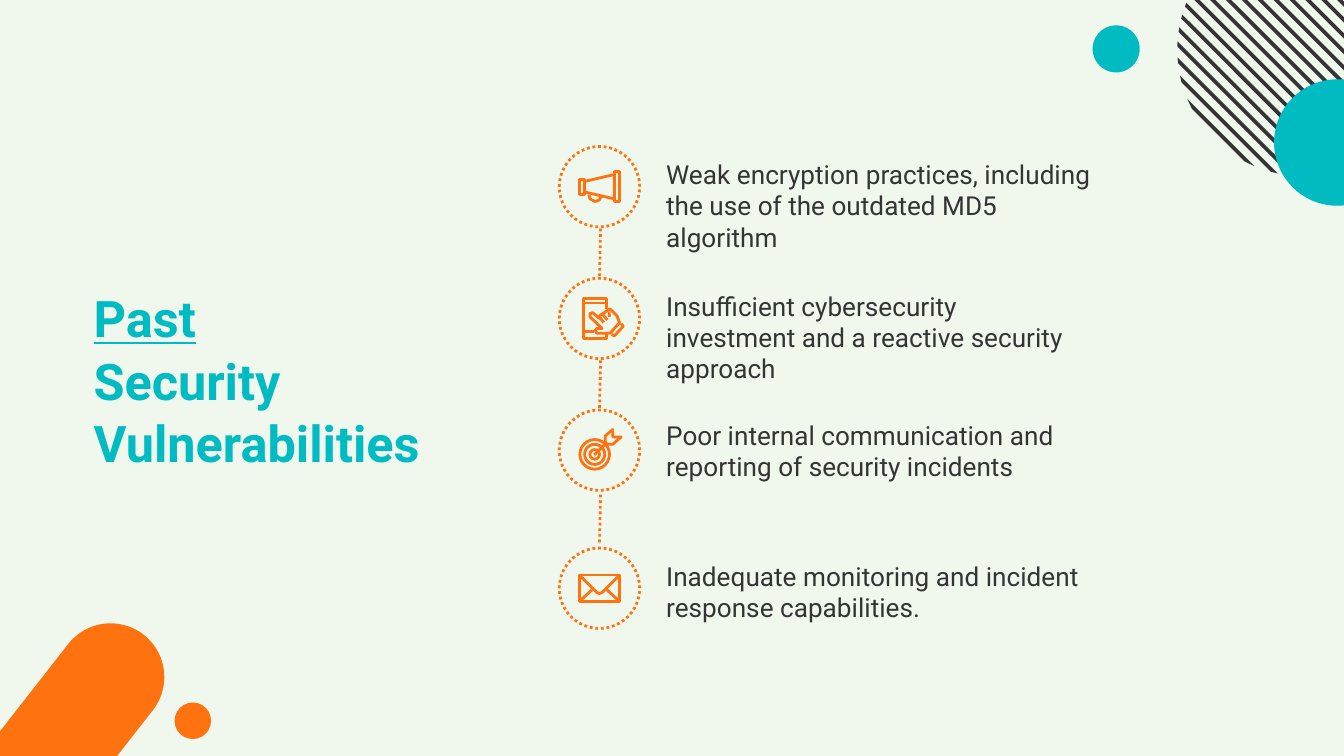
import math

import lxml.etree
import pptx
import pptx.dml.color
import pptx.enum.dml
import pptx.enum.shapes
import pptx.enum.text
import pptx.oxml.ns
import pptx.util

Cm = pptx.util.Cm
SHAPES = pptx.enum.shapes.MSO_SHAPE
DOTTED = pptx.enum.dml.MSO_LINE.ROUND_DOT
COLORS = {"background": "F0F7ED", "ink": "343434", "teal": "00BBC1", "orange": "FF7210"}
RGB = {name: pptx.dml.color.RGBColor.from_string(value) for name, value in COLORS.items()}

presentation = pptx.Presentation()
presentation.slide_width, presentation.slide_height = Cm(25.4), Cm(14.29)
slide = presentation.slides.add_slide(presentation.slide_layouts[4])
slide.background.fill.solid()
slide.background.fill.fore_color.rgb = RGB["background"]


def paint(shape, fill=None, line=None, dash=None):
    shape.shadow.inherit = False
    if fill:
        shape.fill.solid()
        shape.fill.fore_color.rgb = RGB[fill]
    else:
        shape.fill.background()
    if line:
        shape.line.color.rgb = RGB[line]
        shape.line.width = pptx.util.Pt(1.5)
        shape.line.dash_style = dash
    else:
        shape.line.fill.background()


def draw_outline(contours, center_x=0, center_y=0):
    """Join contours, given in centimetres around a centre, into one freeform."""
    builder = None
    for contour in contours:
        points = [(Cm(center_x + x), Cm(center_y + y)) for x, y in contour]
        if builder is None:
            builder = slide.shapes.build_freeform(*points[0])
        else:
            builder.move_to(*points[0])
        builder.add_line_segments(points[1:], close=points[0] == points[-1])
    return builder.convert_to_shape()


# Striped disc: diagonal bands cut off by a circle
disc_x, disc_y, disc_radius = 24.64, 0.94, 2.39
for index in range(21):
    band = 20.52 + 0.3 * index
    ends = []
    for edge in (band - 0.05, band + 0.05):
        offset = (edge - (disc_x - disc_y)) / 2
        reach = math.sqrt(disc_radius ** 2 / 2 - offset ** 2)
        ends.append([(offset - reach, -offset - reach), (offset + reach, -offset + reach)])
    (start, end), (next_start, next_end) = ends
    stripe = draw_outline([[start, end, next_end, next_start, start]], disc_x, disc_y)
    paint(stripe, fill="ink")

# Plain discs and the slanted pill
for left, top, size, color in [
    (24.08, 1.5, 2.39, "teal"),
    (20.65, 0.48, 0.89, "teal"),
    (3.3, 13.28, 0.69, "orange"),
]:
    disc = slide.shapes.add_shape(SHAPES.OVAL, Cm(left), Cm(top), Cm(size), Cm(size))
    paint(disc, fill=color)
pill_length, pill_height = 14.93, 2.03
pill = slide.shapes.add_shape(
    SHAPES.ROUNDED_RECTANGLE, Cm(-1.88 - pill_length / 2), Cm(17.88 - pill_height / 2),
    Cm(pill_length), Cm(pill_height))
pill.adjustments[0] = 0.5
pill.rotation = -52
paint(pill, fill="orange")

# Title and the four points
title_font = {"name": "Roboto", "size": pptx.util.Pt(27), "bold": True}
point_font = {"name": "Roboto", "size": pptx.util.Pt(14), "bold": False}
middle, upper = pptx.enum.text.MSO_ANCHOR.MIDDLE, pptx.enum.text.MSO_ANCHOR.TOP
texts = [
    (1.52, 5.41, 7.29, 3.51, ["Past", "Security Vulnerabilities"], title_font, "teal", middle, 1.03),
]
points = [
    (2.74, "Weak encryption practices, including the use of the outdated MD5 algorithm"),
    (5.23, "Insufficient cybersecurity investment and a reactive security approach"),
    (7.67, "Poor internal communication and reporting of security incidents"),
    (10.34, "Inadequate monitoring and incident response capabilities."),
]
for top, wording in points:
    texts.append((12.34, top, 8.53, 1.57, [wording], point_font, "ink", upper, 1.0))

for placeholder, text in zip(list(slide.placeholders), texts):
    left, top, width, height, lines, font, color, anchor, spacing = text
    placeholder.left, placeholder.top = Cm(left), Cm(top)
    placeholder.width, placeholder.height = Cm(width), Cm(height)
    frame = placeholder.text_frame
    frame_format = {
        "word_wrap": True, "auto_size": pptx.enum.text.MSO_AUTO_SIZE.NONE, "vertical_anchor": anchor,
        "margin_left": Cm(0.25), "margin_right": Cm(0.25),
        "margin_top": Cm(0.25), "margin_bottom": Cm(0.25),
    }
    for name, value in frame_format.items():
        setattr(frame, name, value)
    paragraph = frame.paragraphs[0]
    paragraph_format = {
        "alignment": pptx.enum.text.PP_ALIGN.LEFT, "line_spacing": spacing,
        "space_before": pptx.util.Pt(0), "space_after": pptx.util.Pt(0),
    }
    for name, value in paragraph_format.items():
        setattr(paragraph, name, value)
    properties = paragraph._p.get_or_add_pPr()
    properties.set("marL", "0")
    properties.set("indent", "0")
    lxml.etree.SubElement(properties, pptx.oxml.ns.qn("a:buNone"))
    for number, line in enumerate(lines):
        if number:
            paragraph.add_line_break()
        run = paragraph.add_run()
        run.text = line
        for name, value in font.items():
            setattr(run.font, name, value)
        run.font.color.rgb = RGB[color]
        run.font.underline = line == "Past"

# Icons, as contours around the middle of their ring
megaphone = [
    [(-0.38, -0.14), (-0.29, -0.14), (-0.29, 0.14), (-0.38, 0.14), (-0.38, -0.14)],
    [(-0.28, -0.1), (0.28, -0.23), (0.28, 0.23), (-0.28, 0.1)],
    [(0.28, -0.28), (0.38, -0.28), (0.38, 0.28), (0.28, 0.28), (0.28, -0.28)],
    [(-0.2, 0.15), (-0.18, 0.23), (-0.08, 0.28), (0, 0.25), (0.03, 0.19)],
]
phone = [
    [(0.13, -0.18), (0.13, -0.38), (-0.3, -0.38), (-0.3, 0.38), (0.13, 0.38), (0.13, 0.3)],
    [(-0.3, -0.29), (0.13, -0.29)],
    [(-0.3, 0.24), (-0.1, 0.24)],
    [(-0.05, 0.28), (-0.08, 0.23), (-0.05, 0.19), (0.05, 0.19), (-0.18, -0.03), (-0.18, -0.09),
     (-0.13, -0.11), (0, 0), (0, -0.05), (0.08, -0.1), (0.15, -0.15), (0.2, -0.18),
     (0.33, -0.05), (0.38, 0.08), (0.2, 0.28), (-0.05, 0.28)],
    [(0, -0.03), (0.08, 0.08)],
    [(0.05, -0.09), (0.15, 0.03)],
    [(0.18, -0.13), (0.19, -0.03)],
    [(0.41, 0.1), (0.45, 0.15), (0.28, 0.33), (0.23, 0.3)],
]
target = [
    [(-0.09 + radius * math.cos(math.radians(angle)), 0.08 + radius * math.sin(math.radians(angle)))
     for angle in range(0, 361, 15)]
    for radius in (0.28, 0.19, 0.09)
] + [
    [(-0.1, 0.09), (0.15, -0.15)],
    [(0.11, -0.11), (0.11, -0.27), (0.25, -0.39), (0.25, -0.25), (0.41, -0.25), (0.25, -0.11),
     (0.11, -0.11)],
]
envelope = [
    [(-0.38, -0.25), (0.38, -0.25), (0.38, 0.25), (-0.38, 0.25), (-0.38, -0.25)],
    [(-0.36, -0.23), (-0.05, 0.08), (0, 0.1), (0.05, 0.08), (0.36, -0.23)],
    [(-0.36, 0.23), (-0.14, 0.03)],
    [(0.36, 0.23), (0.14, 0.03)],
]

# Dotted rings with their icons
ring_x, ring_size = 11.33, 1.52
for top, icon in zip((2.77, 5.26, 7.75, 10.36), (megaphone, phone, target, envelope)):
    ring = slide.shapes.add_shape(
        SHAPES.OVAL, Cm(ring_x - ring_size / 2), Cm(top), Cm(ring_size), Cm(ring_size))
    paint(ring, line="orange", dash=DOTTED)
    paint(draw_outline(icon, ring_x, top + ring_size / 2), line="orange")

# Dotted links between the rings
for top in (4.32, 6.81, 9.35):
    link = slide.shapes.add_connector(
        pptx.enum.shapes.MSO_CONNECTOR.STRAIGHT, Cm(ring_x + 0.02), Cm(top), Cm(ring_x), Cm(top + 0.94))
    link.line.color.rgb = RGB["orange"]
    link.line.width = pptx.util.Pt(1.5)
    link.line.dash_style = DOTTED
    lxml.etree.SubElement(link._element.spPr, pptx.oxml.ns.qn("a:effectLst"))

presentation.save("out.pptx")
